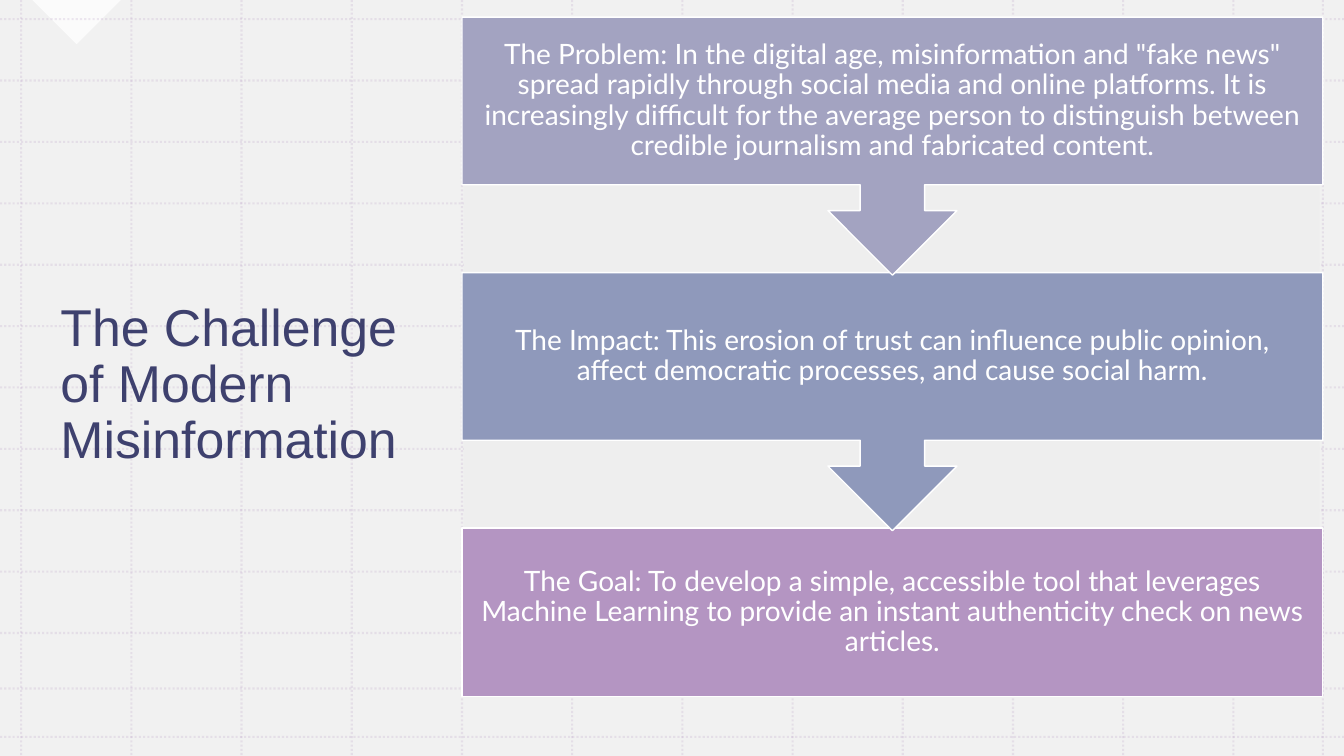
from lxml.etree import SubElement
from pptx import Presentation
from pptx.dml.color import RGBColor
from pptx.enum.dml import MSO_LINE
from pptx.enum.shapes import MSO_CONNECTOR, MSO_SHAPE
from pptx.enum.text import MSO_ANCHOR, MSO_AUTO_SIZE, PP_ALIGN
from pptx.oxml.ns import qn
from pptx.util import Inches, Pt

COLORS = {
    "paper": "F1F1F1", "panel": "EEEEEE", "white": "FFFFFF", "navy": "12154E",
    "grid": "B495C2", "problem": "A3A3C1", "impact": "8F99BB", "goal": "B495C2",
}
WIDTH, HEIGHT = 13.33, 7.5

# Grid lines: even steps, then the closing lines near the right and bottom edges
columns = [0.21 + 1.093 * i for i in range(12)] + [13.12]
rows = [0.19 + 0.609 * i for i in range(11)] + [6.83, 7.31]


def paint(fill, color, opacity=100):
    fill.solid()
    fill.fore_color.rgb = RGBColor.from_string(COLORS[color])
    if opacity < 100:
        # The public fill has no opacity, so it goes into the colour element
        for tone in fill._xPr.iter(qn("a:srgbClr")):
            SubElement(tone, qn("a:alpha"), val=str(opacity * 1000))


def write(shape, text, *, font, size, color, opacity=100, align=PP_ALIGN.LEFT, inset=None):
    frame = shape.text_frame
    frame.word_wrap = True
    frame.auto_size = MSO_AUTO_SIZE.NONE
    frame.vertical_anchor = MSO_ANCHOR.MIDDLE
    if inset is not None:
        frame.margin_left = frame.margin_right = Inches(inset)
        frame.margin_top = frame.margin_bottom = Inches(inset)
    para = frame.paragraphs[0]
    para.alignment = align
    para.line_spacing = 0.9
    span = para.add_run()
    span.text = text
    span.font.name = font
    span.font.size = Pt(size)
    paint(span.font.fill, color, opacity)


deck = Presentation()
deck.slide_width, deck.slide_height = Inches(WIDTH), Inches(HEIGHT)
slide = deck.slides.add_slide(deck.slide_layouts[5])
shapes = slide.shapes
paint(slide.background.fill, "paper")

# Corner triangle pointing down from the top edge
corner = shapes.add_shape(
    MSO_SHAPE.RIGHT_TRIANGLE, Inches(0.45), Inches(-0.31), Inches(0.62), Inches(0.62))
corner.rotation = 315
corner.shadow.inherit = False
paint(corner.fill, "white", 75)
corner.line.fill.background()

# Dotted grid
grid_lines = [(x, 0, x, HEIGHT) for x in columns] + [(0, y, WIDTH, y) for y in rows]
for ends in grid_lines:
    rule = shapes.add_connector(MSO_CONNECTOR.STRAIGHT, *map(Inches, ends))
    paint(rule.line.fill, "grid", 20)
    rule.line.width = Pt(1.5)
    rule.line.dash_style = MSO_LINE.ROUND_DOT
    SubElement(rule.element.spPr, qn("a:effectLst"))

# Title, brought in front of the grid
title = shapes.title
title.left, title.top = Inches(0.5), Inches(rows[1])
title.width, title.height = Inches(4.07), Inches(6.05)
write(title, "The Challenge of Modern Misinformation",
      font="Arial", size=37, color="navy", opacity=80)
title.element.getparent().append(title.element)

# Panel behind the steps
left, span_width = columns[4], columns[-1] - columns[4]
panel = shapes.add_shape(
    MSO_SHAPE.RECTANGLE, Inches(left + 0.02), Inches(0.21),
    Inches(span_width - 0.05), Inches(6.63))
panel.shadow.inherit = False
paint(panel.fill, "panel")
panel.line.fill.background()

# Steps, drawn from the last up so that each arrow tip overlaps the next box
steps = [
    ("problem", MSO_SHAPE.DOWN_ARROW_CALLOUT, 2.56,
     "The Problem: In the digital age, misinformation and \"fake news\" spread rapidly "
     "through social media and online platforms. It is increasingly difficult for the "
     "average person to distinguish between credible journalism and fabricated content."),
    ("impact", MSO_SHAPE.DOWN_ARROW_CALLOUT, 2.56,
     "The Impact: This erosion of trust can influence public opinion, affect democratic "
     "processes, and cause social harm."),
    ("goal", MSO_SHAPE.RECTANGLE, 1.67,
     "The Goal: To develop a simple, accessible tool that leverages Machine Learning to "
     "provide an instant authenticity check on news articles."),
]
for index, (color, kind, height, text) in reversed(list(enumerate(steps))):
    step = shapes.add_shape(
        kind, Inches(left), Inches(0.17 + 2.535 * index), Inches(span_width), Inches(height))
    step.shadow.inherit = False
    paint(step.fill, color)
    paint(step.line.fill, "white")
    step.line.width = Pt(1)
    write(step, text, font="Lato", size=20, color="white",
          align=PP_ALIGN.CENTER, inset=0.16)

deck.save("out.pptx")
